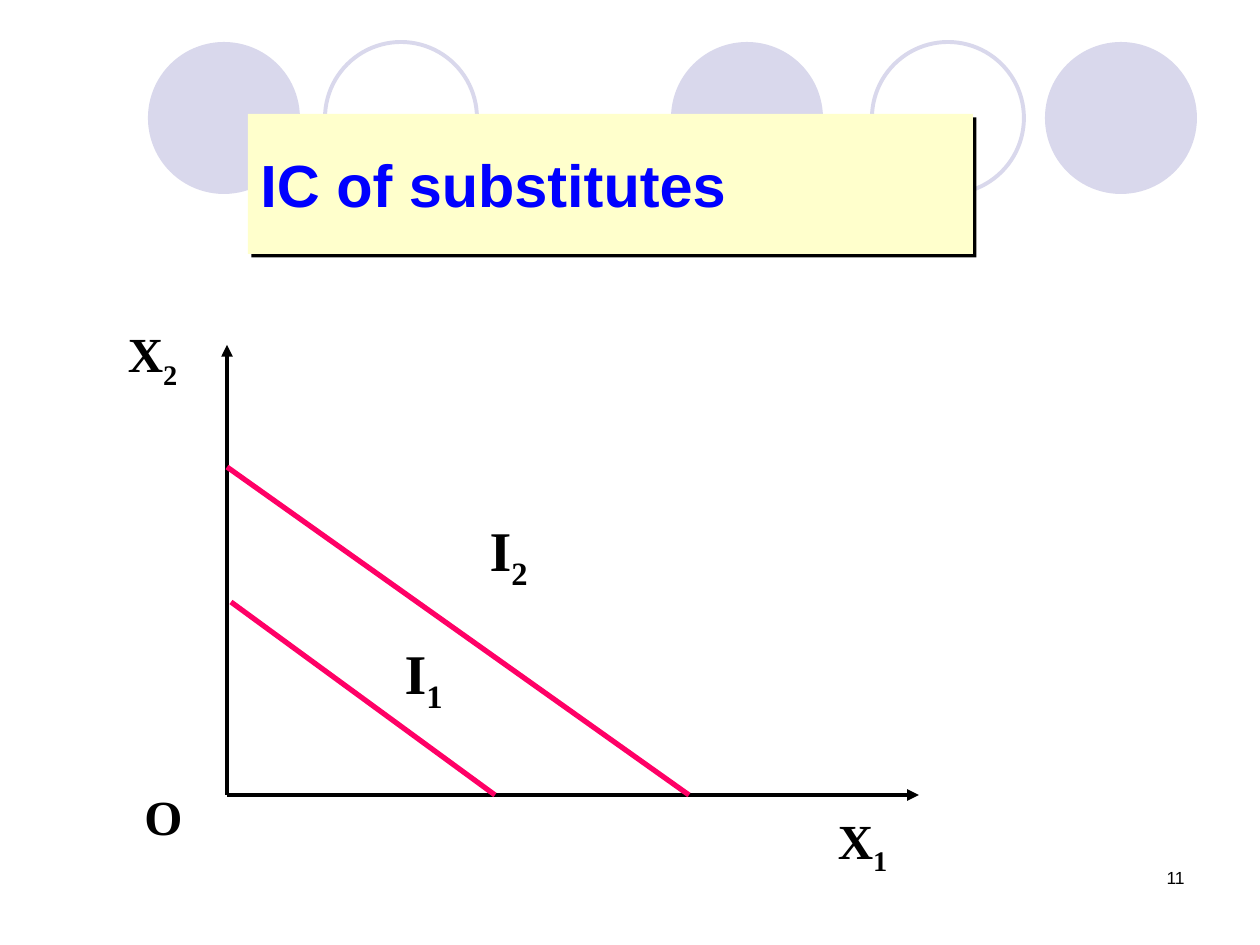
from typing import NamedTuple

from pptx import Presentation
from pptx.dml.color import RGBColor
from pptx.enum.shapes import MSO_CONNECTOR, MSO_SHAPE
from pptx.enum.text import MSO_ANCHOR, PP_ALIGN
from pptx.oxml.ns import qn
from pptx.util import Pt
from lxml.etree import SubElement

PX = 914400 / 126
BLACK, BLUE, PINK = "000000", "0000FF", "FF0066"
LILAC, CREAM = "D9D8EC", "FFFFCC"
CIRCLE_TOP, CIRCLE_SIZE = 42, 152
LABEL_HEIGHT = 107


class Circle(NamedTuple):
    left: int
    filled: bool


class Line(NamedTuple):
    start: tuple[int, int]
    end: tuple[int, int]
    color: str
    width: float
    arrow: bool = False


class Label(NamedTuple):
    left: int
    top: int
    width: int
    text: str
    subscript: str
    size: int


CIRCLES = [Circle(148, True), Circle(325, False), Circle(671, True),
           Circle(872, False), Circle(1045, True)]

ORIGIN = (227, 795)
LINES = [
    Line(ORIGIN, (227, 345), BLACK, 2.25, arrow=True),
    Line(ORIGIN, (919, 795), BLACK, 2.25, arrow=True),
    Line((227, 467), (689, 795), PINK, 3),
    Line((231, 602), (495, 795), PINK, 3),
]

LABELS = [
    Label(777, 810, 171, "X", "1", 28),
    Label(67, 324, 171, "X", "2", 28),
    Label(411, 515, 195, "I", "2", 32),
    Label(326, 639, 195, "I", "1", 32),
    Label(78, 786, 171, "O", "", 28),
]


def emu(*lengths: int) -> list[int]:
    return [round(n * PX) for n in lengths]


def rgb(color: str) -> RGBColor:
    return RGBColor.from_string(color)


def write(s, text: str, *, size: int, font: str, color: str = BLACK,
          bold: bool = False, align=PP_ALIGN.LEFT, anchor=MSO_ANCHOR.TOP,
          subscript: str = "", margin: tuple[int, int] | None = None) -> None:
    """Fill a shape with one line; margin is (horizontal, vertical) in px."""
    tf = s.text_frame
    tf.word_wrap = True
    tf.vertical_anchor = anchor
    if margin is not None:
        tf.margin_left = tf.margin_right = emu(margin[0])[0]
        tf.margin_top = tf.margin_bottom = emu(margin[1])[0]
    p = tf.paragraphs[0]
    p.alignment = align
    for part in filter(None, (text, subscript)):
        r = p.add_run()
        r.text = part
        r.font.size, r.font.name, r.font.bold = Pt(size), font, bold
        r.font.color.rgb = rgb(color)
    if subscript:
        r.font._element.set("baseline", "-25000")


def draw_circle(slide, circle: Circle) -> None:
    s = slide.shapes.add_shape(
        MSO_SHAPE.OVAL, *emu(circle.left, CIRCLE_TOP, CIRCLE_SIZE, CIRCLE_SIZE))
    s.shadow.inherit = False
    if circle.filled:
        s.fill.solid()
        s.fill.fore_color.rgb = rgb(LILAC)
        s.line.fill.background()
    else:
        s.fill.background()
        s.line.color.rgb = rgb(LILAC)
        s.line.width = Pt(2.25)


def draw_line(slide, line: Line) -> None:
    s = slide.shapes.add_connector(
        MSO_CONNECTOR.STRAIGHT, *emu(*line.start, *line.end))
    s.line.color.rgb = rgb(line.color)
    s.line.width = Pt(line.width)
    if line.arrow:
        SubElement(s.line._get_or_add_ln(), qn("a:tailEnd"), type="triangle")
    SubElement(s._element.spPr, qn("a:effectLst"))


def draw_label(slide, label: Label) -> None:
    s = slide.shapes.add_textbox(
        *emu(label.left, label.top, label.width, LABEL_HEIGHT))
    write(s, label.text, subscript=label.subscript, size=label.size, bold=True,
          font="Times New Roman", align=PP_ALIGN.CENTER, margin=(0, 0))


def draw_title(slide, text: str) -> None:
    s = slide.shapes.add_shape(MSO_SHAPE.RECTANGLE, *emu(248, 114, 725, 140))
    s.fill.solid()
    s.fill.fore_color.rgb = rgb(CREAM)
    s.line.fill.background()
    s.shadow.inherit = False
    effects = s._element.spPr.find(qn("a:effectLst"))
    shadow = SubElement(effects, qn("a:outerShdw"), dist=str(Pt(2.8)),
                        dir="2700000", algn="ctr", rotWithShape="0")
    SubElement(shadow, qn("a:srgbClr"), val=BLACK)
    write(s, text, size=34, font="Arial", color=BLUE, bold=True,
          anchor=MSO_ANCHOR.MIDDLE)


def draw_slide_number(slide, number: str) -> None:
    s = slide.shapes.add_textbox(*emu(903, 861, 294, 63))
    write(s, number, size=10, font="Arial", align=PP_ALIGN.RIGHT)


def main() -> None:
    prs = Presentation()
    prs.slide_width, prs.slide_height = emu(1260, 945)
    slide = prs.slides.add_slide(prs.slide_layouts[6])
    for circle in CIRCLES:
        draw_circle(slide, circle)
    draw_slide_number(slide, "11")
    draw_title(slide, "IC of substitutes")
    for line in LINES:
        draw_line(slide, line)
    for label in LABELS:
        draw_label(slide, label)
    prs.save("out.pptx")


if __name__ == "__main__":
    main()
